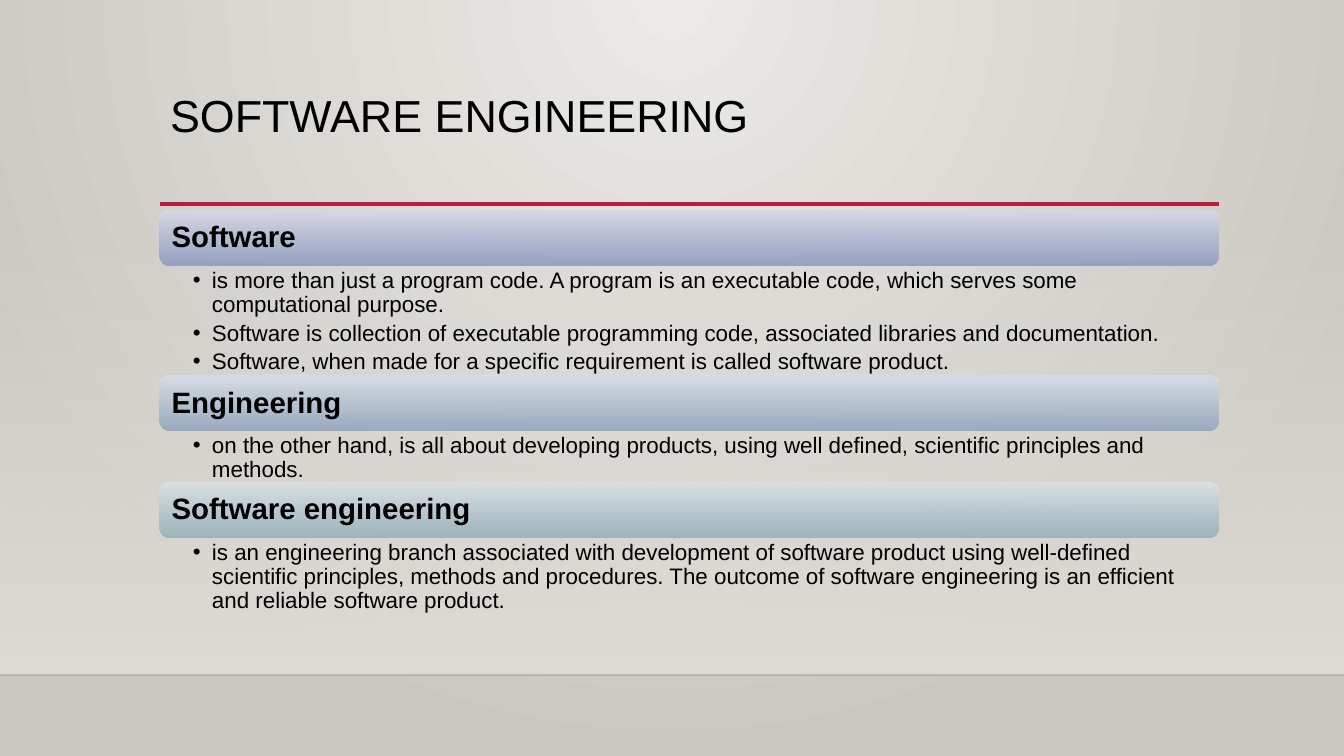
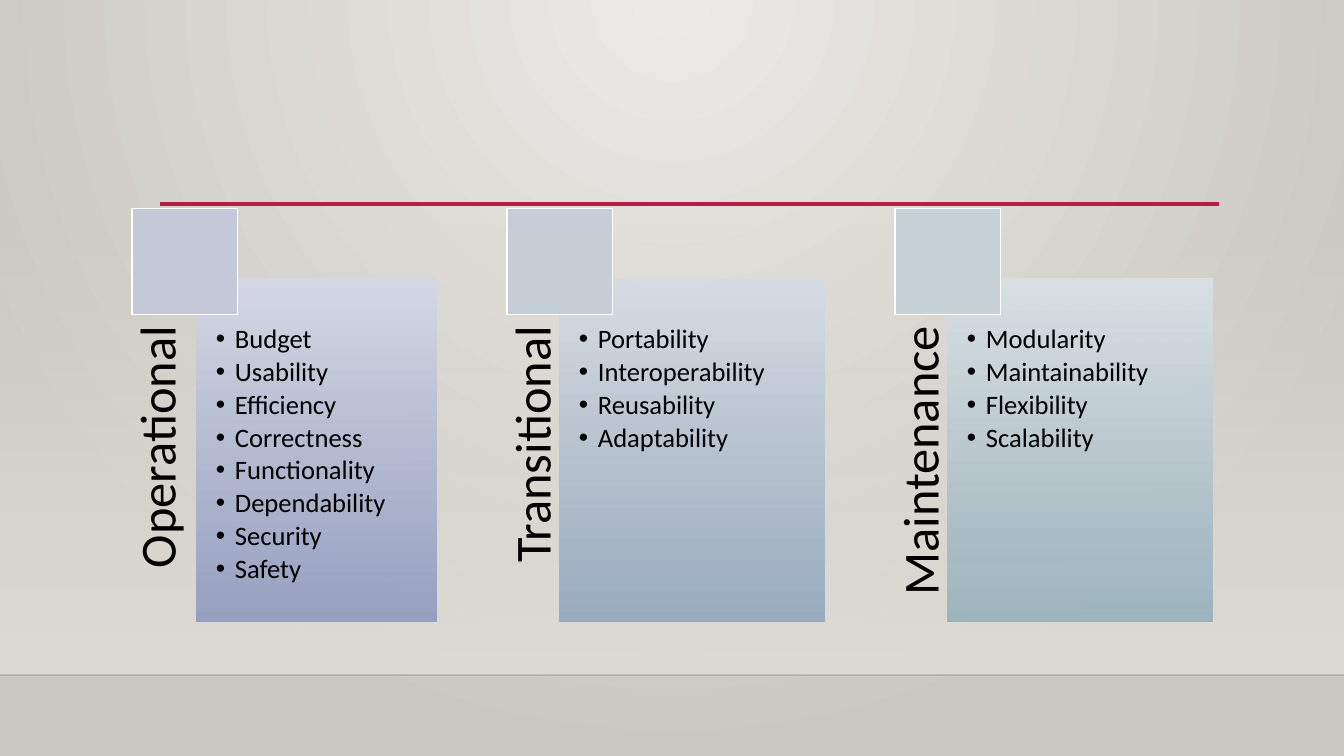
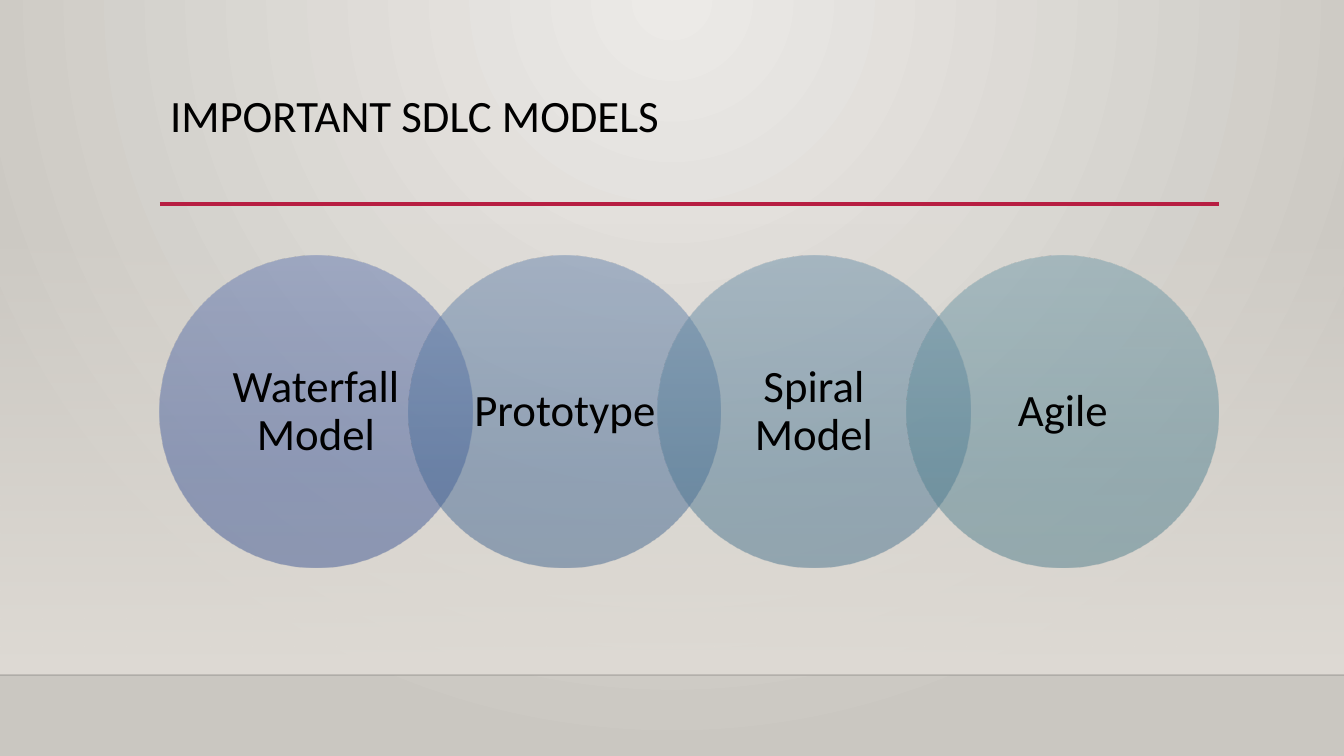
from dataclasses import dataclass

from lxml.etree import SubElement, fromstring
from pptx import Presentation
from pptx.dml.color import RGBColor as Rgb
from pptx.enum.shapes import MSO_CONNECTOR, MSO_SHAPE as Form
from pptx.enum.text import MSO_ANCHOR as Anchor, MSO_AUTO_SIZE as Fit, PP_ALIGN as Align
from pptx.oxml.ns import nsdecls, qn
from pptx.oxml.xmlchemy import BaseOxmlElement as Node
from pptx.presentation import Presentation as Deck
from pptx.shapes.autoshape import Shape
from pptx.slide import Slide
from pptx.util import Emu, Pt

SCALE = 914400 / 100.8
WIDE, HIGH = 1344, 756
LEFT, SPAN = 160, 1058
RULE, FLOOR = 204, 675

BLACK = Rgb(0x00, 0x00, 0x00)
WHITE = Rgb(0xFF, 0xFF, 0xFF)
SHADE = Rgb(0x00, 0x00, 0x01)
RED = Rgb(0xB7, 0x1E, 0x42)
GLOW = Rgb(0xEC, 0xEA, 0xE7)
STONE = Rgb(0xCA, 0xC7, 0xC1)
SAND = Rgb(0xDF, 0xDB, 0xD5)
MIST = Rgb(0xD6, 0xD9, 0xE5)
IRIS = Rgb(0x92, 0x9D, 0xC0)
HAZE = Rgb(0xD7, 0xDD, 0xE4)
STEEL = Rgb(0x96, 0xA9, 0xBE)
FOAM = Rgb(0xD9, 0xE1, 0xE4)
TEAL = Rgb(0x9A, 0xB2, 0xBC)
LILAC = Rgb(0xC4, 0xC8, 0xD8)
CLOUD = Rgb(0xC5, 0xCE, 0xD7)
MINT = Rgb(0xC7, 0xD2, 0xD6)


@dataclass(frozen=True)
class Stop:
    """One colour stop of a gradient, in percent."""
    at: int
    color: Rgb
    alpha: int = 100


@dataclass(frozen=True)
class Box:
    """A place on the slide, in pixels."""
    x: int
    y: int
    w: int
    h: int


@dataclass(frozen=True)
class Style:
    """How a block of text is set."""
    font: str
    size: int
    bold: bool = False
    align: Align = Align.LEFT
    anchor: Anchor = Anchor.TOP
    inset: tuple[int, int, int, int] = (10, 5, 10, 5)
    gap: float = 0
    dot: bool = False


@dataclass(frozen=True)
class Term:
    """A headed bar with its points below."""
    name: str
    fill: tuple[Stop, ...]
    high: int
    points: tuple[str, ...]


@dataclass(frozen=True)
class Group:
    """A card of traits with a square and an upright label."""
    name: str
    x: int
    card: int
    wide: int
    tint: Rgb
    fill: tuple[Stop, ...]
    traits: tuple[str, ...]


@dataclass(frozen=True)
class Model:
    """A named circle of the chain."""
    name: str
    top: Rgb
    mid: Rgb
    low: Rgb


BLUE = (Stop(0, MIST), Stop(100, IRIS, 92))
GREY = (Stop(0, HAZE), Stop(100, STEEL, 92))
GREEN = (Stop(0, FOAM), Stop(100, TEAL, 92))

HEAD = Style("Arial", 21, bold=True, anchor=Anchor.MIDDLE, inset=(9, 9, 9, 9))
POINT = Style("Arial", 16, inset=(33, 3, 16, 3), gap=3.2, dot=True)
LABEL = Style("Calibri", 36, align=Align.RIGHT, inset=(0, 0, 47, 0))
TRAIT = Style("Calibri", 19, inset=(19, 47, 19, 19), gap=2.85, dot=True)
ROUND = Style("Calibri", 32, align=Align.CENTER, anchor=Anchor.MIDDLE, inset=(17, 4, 17, 4))

TERMS = (
    Term("Software", BLUE, 110, (
        "is more than just a program code. A program is an executable code, "
        "which serves some computational purpose.",
        "Software is collection of executable programming code, "
        "associated libraries and documentation.",
        "Software, when made for a specific requirement is called software product.",
    )),
    Term("Engineering", GREY, 52, (
        "on the other hand, is all about developing products, "
        "using well defined, scientific principles and methods.",
    )),
    Term("Software engineering", GREEN, 76, (
        "is an engineering branch associated with development of software product "
        "using well-defined scientific principles, methods and procedures. The outcome "
        "of software engineering is an efficient and reliable software product.",
    )),
)

GROUPS = (
    Group("Operational", 132, 197, 240, LILAC, BLUE, (
        "Budget", "Usability", "Efficiency", "Correctness",
        "Functionality", "Dependability", "Security", "Safety")),
    Group("Transitional", 507, 560, 265, CLOUD, GREY, (
        "Portability", "Interoperability", "Reusability", "Adaptability")),
    Group("Maintenance", 895, 948, 265, MINT, GREEN, (
        "Modularity", "Maintainability", "Flexibility", "Scalability")),
)

MODELS = (
    Model("Waterfall Model", Rgb(0x63, 0x78, 0xB0), Rgb(0x42, 0x5B, 0x9B), Rgb(0x3F, 0x57, 0x93)),
    Model("Prototype", Rgb(0x68, 0x86, 0xAE), Rgb(0x48, 0x6B, 0x98), Rgb(0x44, 0x66, 0x90)),
    Model("Spiral Model", Rgb(0x6D, 0x92, 0xAB), Rgb(0x4E, 0x78, 0x95), Rgb(0x4A, 0x72, 0x8E)),
    Model("Agile", Rgb(0x72, 0x9B, 0xA9), Rgb(0x53, 0x83, 0x93), Rgb(0x4F, 0x7C, 0x8B)),
)


def px(num: float) -> Emu:
    """Turn pixels into EMU."""
    return Emu(round(num * SCALE))


def area(box: Box) -> tuple[Emu, Emu, Emu, Emu]:
    """Turn a box into EMU lengths."""
    return px(box.x), px(box.y), px(box.w), px(box.h)


def blend(root: Node, stops: tuple[Stop, ...], course: str) -> None:
    """Put a gradient in place of the first empty fill under root."""
    marks = "".join(
        f'<a:gs pos="{stop.at * 1000}"><a:srgbClr val="{stop.color}">'
        f'<a:alpha val="{stop.alpha * 1000}"/></a:srgbClr></a:gs>' for stop in stops)
    blank = root.find(".//" + qn("a:noFill"))
    blank.getparent().replace(blank, fromstring(
        f'<a:gradFill {nsdecls("a")} rotWithShape="1"><a:gsLst>{marks}</a:gsLst>'
        f"{course}</a:gradFill>"))


def write(shape: Shape, lines: tuple[str, ...], style: Style) -> None:
    """Fill a shape with styled paragraphs."""
    frame = shape.text_frame
    frame.word_wrap = True
    frame.auto_size = Fit.NONE
    frame.vertical_anchor = style.anchor
    (frame.margin_left, frame.margin_top,
     frame.margin_right, frame.margin_bottom) = map(px, style.inset)
    frame.text = "\n".join(lines)
    for para in frame.paragraphs:
        para.alignment = style.align
        para.line_spacing = 0.9
        para.space_before = Pt(0)
        para.space_after = Pt(style.gap)
        if style.dot:
            props = para._p.get_or_add_pPr()
            props.set("marL", str(px(19)))
            props.set("indent", str(px(-19)))
            SubElement(props, qn("a:buFont"), typeface="Arial")
            SubElement(props, qn("a:buChar"), char="•")
        font = para.font
        font.name, font.size, font.bold = style.font, Pt(style.size), style.bold
        font.color.rgb = BLACK


def block(slide: Slide, form: Form, box: Box, stops: tuple[Stop, ...]) -> Shape:
    """Draw a shape with a downward gradient and no line."""
    shape = slide.shapes.add_shape(form, *area(box))
    shape.shadow.inherit = False
    shape.fill.background()
    shape.line.fill.background()
    blend(shape.element.spPr, stops, '<a:lin ang="5400000" scaled="0"/>')
    return shape


def note(slide: Slide, box: Box, lines: tuple[str, ...], style: Style) -> Shape:
    """Add a text box."""
    shape = slide.shapes.add_textbox(*area(box))
    write(shape, lines, style)
    return shape


def rule(slide: Slide, x: int, y: int, end: int, color: Rgb, width: float, alpha: int = 100) -> None:
    """Draw a level line."""
    line = slide.shapes.add_connector(MSO_CONNECTOR.STRAIGHT, px(x), px(y), px(end), px(y))
    line.line.color.rgb = color
    line.line.width = Pt(width)
    props = line.element.spPr
    SubElement(props.find(".//" + qn("a:srgbClr")), qn("a:alpha"), val=str(alpha * 1000))
    SubElement(props, qn("a:effectLst"))


def start(deck: Deck, title: str = "", font: str = "") -> Slide:
    """Add a slide with the shared floor, lines and title."""
    slide = deck.slides.add_slide(deck.slide_layouts[5 if title else 6])
    block(slide, Form.RECTANGLE, Box(0, 223, WIDE, FLOOR - 223),
          (Stop(0, SAND, 0), Stop(100, SAND)))
    rule(slide, 0, FLOOR, WIDE, SHADE, 1, 20)
    rule(slide, LEFT, RULE, 1219, RED, 2.5)
    if title:
        head = slide.shapes.title
        head.left, head.top, head.width, head.height = area(Box(LEFT, 89, SPAN, 115))
        write(head, (title,), Style(font, 32))
    return slide


def define(deck: Deck) -> None:
    """Build the slide of terms."""
    slide = start(deck, "SOFTWARE ENGINEERING", "Arial")
    top, bar = 211, 55
    for term in TERMS:
        head = block(slide, Form.ROUNDED_RECTANGLE, Box(LEFT, top, SPAN, bar), term.fill)
        write(head, (term.name,), HEAD)
        note(slide, Box(LEFT, top + bar, SPAN, term.high), term.points, POINT)
        top += bar + term.high


def sort(deck: Deck) -> None:
    """Build the slide of trait groups."""
    slide = start(deck)
    top, high, side, strip = 279, 343, 106, 53
    for group in GROUPS:
        label = note(slide, Box(group.x + (strip - high) // 2, top + (high - strip) // 2, high, strip),
                     (group.name,), LABEL)
        label.rotation = 270
        card = block(slide, Form.RECTANGLE, Box(group.card, top, group.wide, high), group.fill)
        write(card, group.traits, TRAIT)
        square = slide.shapes.add_shape(Form.RECTANGLE, *area(Box(group.x, 209, side, side)))
        square.shadow.inherit = False
        square.fill.solid()
        square.fill.fore_color.rgb = group.tint
        square.line.color.rgb = WHITE
        square.line.width = Pt(0.75)


def chain(deck: Deck) -> None:
    """Build the slide of linked circles."""
    slide = start(deck, "IMPORTANT SDLC MODELS", "Calibri")
    size, step = 312, 249
    for i, model in enumerate(MODELS):
        stops = (Stop(0, model.top, 50), Stop(69, model.mid, 50), Stop(100, model.low, 50))
        disc = block(slide, Form.OVAL, Box(LEFT + i * step, 256, size, size), stops)
        write(disc, (model.name,), ROUND)


def main() -> None:
    """Build and save the deck."""
    deck = Presentation()
    deck.slide_width, deck.slide_height = px(WIDE), px(HIGH)
    master = deck.slide_master
    master.background.fill.background()
    blend(master.element, (Stop(0, GLOW), Stop(100, STONE)),
          '<a:path path="circle"><a:fillToRect l="43000" t="0" r="43000" b="100000"/></a:path>')
    define(deck)
    sort(deck)
    chain(deck)
    deck.save("out.pptx")


main()
